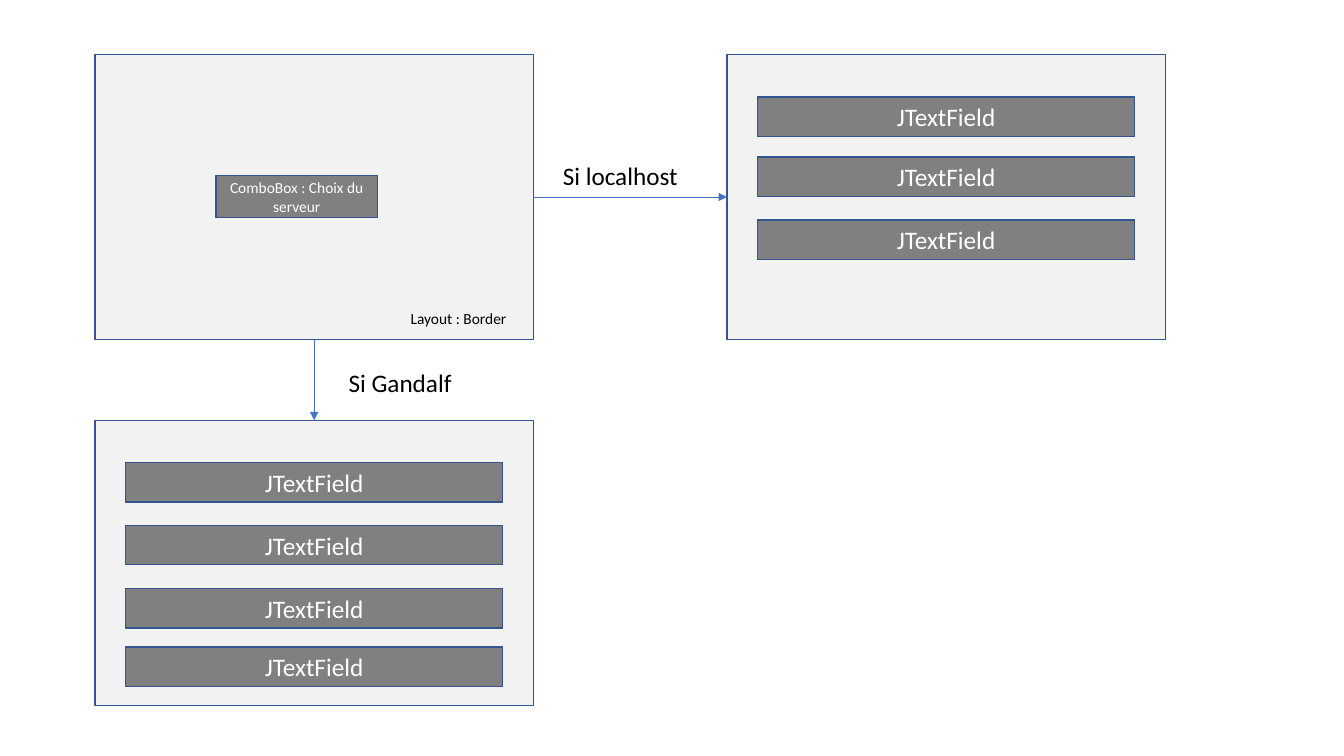
"""Build a slide showing how the server choice leads to two input forms."""
from lxml.etree import SubElement
from pptx import Presentation
from pptx.dml.color import RGBColor
from pptx.enum.shapes import MSO_CONNECTOR, MSO_SHAPE
from pptx.enum.text import MSO_ANCHOR, MSO_AUTO_SIZE, PP_ALIGN
from pptx.oxml.ns import qn
from pptx.util import Pt

WHITE = RGBColor(0xFF, 0xFF, 0xFF)
BLACK = RGBColor(0x00, 0x00, 0x00)
PANEL_GREY = RGBColor(0xF2, 0xF2, 0xF2)
FIELD_GREY = RGBColor(0x80, 0x80, 0x80)
OUTLINE_BLUE = RGBColor(0x32, 0x54, 0x91)
ARROW_BLUE = RGBColor(0x44, 0x72, 0xC4)

PANEL_WIDTH, PANEL_HEIGHT = 313.2, 203.8
FIELD_WIDTH, FIELD_HEIGHT, FIELD_INSET = 269.3, 28.3, 22
LEFT, RIGHT = 67.8, 519.2
TOP, BOTTOM = 38.8, 300.2

deck = Presentation()
deck.slide_width, deck.slide_height = Pt(960), Pt(540)
page = deck.slides.add_slide(deck.slide_layouts[6])


def write(shape, text, size, color, align):
    paragraph = shape.text_frame.paragraphs[0]
    paragraph.text = text
    paragraph.alignment = align
    paragraph.font.name = "Calibri"
    paragraph.font.size = Pt(size)
    paragraph.font.color.rgb = color


def add_box(left, top, width, height, fill, text="", size=18):
    box = page.shapes.add_shape(
        MSO_SHAPE.RECTANGLE, Pt(left), Pt(top), Pt(width), Pt(height))
    box.shadow.inherit = False
    box.fill.solid()
    box.fill.fore_color.rgb = fill
    box.line.color.rgb = OUTLINE_BLUE
    box.line.width = Pt(1)
    if text:
        box.text_frame.vertical_anchor = MSO_ANCHOR.MIDDLE
        write(box, text, size, WHITE, PP_ALIGN.CENTER)
    return box


choice_panel, localhost_panel, gandalf_panel = [
    add_box(left, top, PANEL_WIDTH, PANEL_HEIGHT, PANEL_GREY)
    for left, top in [(LEFT, TOP), (RIGHT, TOP), (LEFT, BOTTOM)]]

add_box(154.4, 125.4, 115.2, 30.2, FIELD_GREY, "ComboBox : Choix du serveur", 11)

for panel_left, panel_top, offsets in [
    (RIGHT, TOP, (30.4, 73.4, 118.4)),
    (LEFT, BOTTOM, (30.2, 75, 120, 162)),
]:
    for offset in offsets:
        add_box(panel_left + FIELD_INSET, panel_top + offset,
                FIELD_WIDTH, FIELD_HEIGHT, FIELD_GREY, "JTextField")

for target, start_site, end_site in [(localhost_panel, 3, 1), (gandalf_panel, 2, 0)]:
    arrow = page.shapes.add_connector(MSO_CONNECTOR.STRAIGHT, 0, 0, 0, 0)
    arrow.begin_connect(choice_panel, start_site)
    arrow.end_connect(target, end_site)
    arrow.line.color.rgb = ARROW_BLUE
    arrow.line.width = Pt(0.5)
    SubElement(arrow.line._get_or_add_ln(), qn("a:tailEnd"), type="triangle")
    SubElement(arrow._element.spPr, qn("a:effectLst"))

for text, size, left, top, width, height in [
    ("Si localhost", 18, 394.9, 110.9, 97.2, 29),
    ("Si Gandalf", 18, 241.9, 258.8, 89.3, 29),
    ("Layout : Border", 11, 286.2, 217.5, 84.2, 20.6),
]:
    label = page.shapes.add_textbox(Pt(left), Pt(top), Pt(width), Pt(height))
    label.text_frame.word_wrap = False
    label.text_frame.auto_size = MSO_AUTO_SIZE.SHAPE_TO_FIT_TEXT
    write(label, text, size, BLACK, PP_ALIGN.LEFT)

deck.save("out.pptx")
